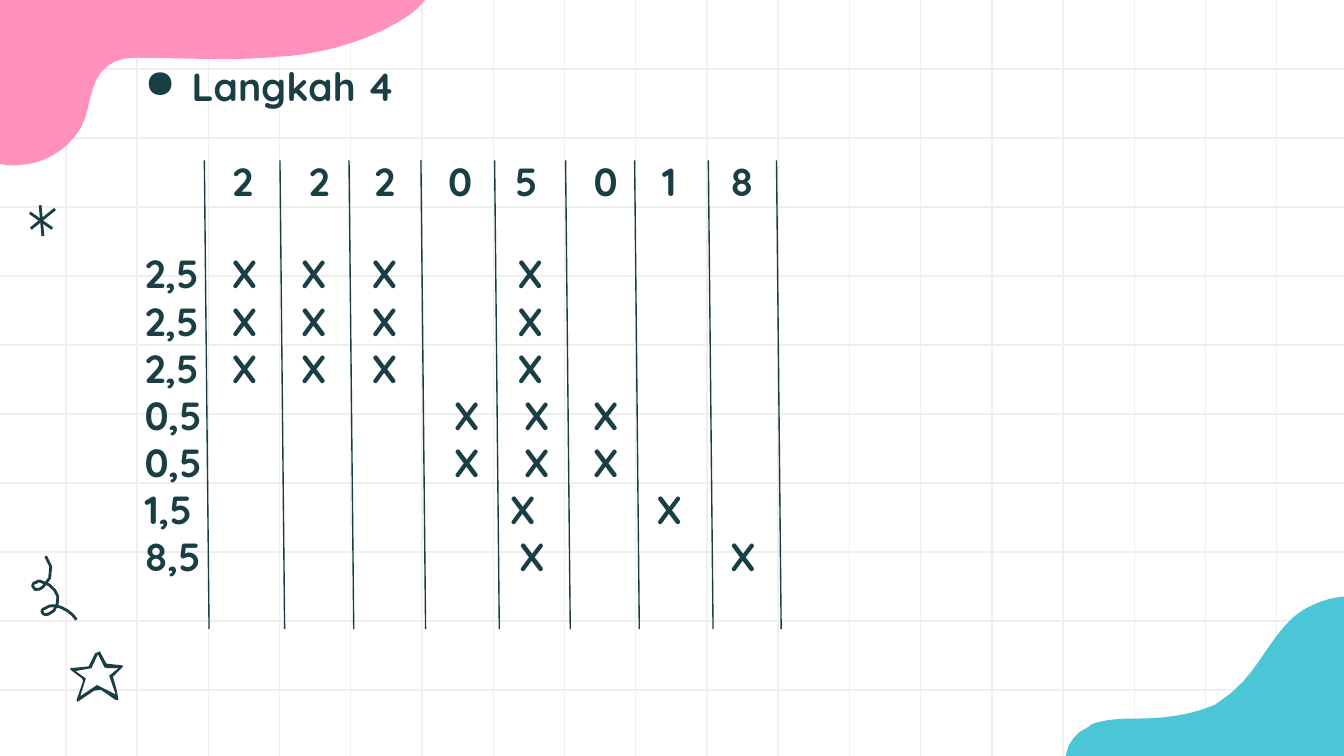
"""Build the "Langkah 4" slide: a hand-ruled table of marks on squared paper."""
from itertools import chain
from math import dist
from typing import NamedTuple

from lxml import etree
from pptx import Presentation
from pptx.dml.color import RGBColor
from pptx.enum import shapes, text
from pptx.oxml import ns
from pptx.util import Pt

WHITE = RGBColor(0xFF, 0xFF, 0xFF)
GRID = RGBColor(0xEF, 0xEF, 0xEF)
INK = RGBColor(0x19, 0x3E, 0x43)
RULE = RGBColor(0x17, 0x3D, 0x43)
PINK = RGBColor(0xFF, 0x91, 0xBC)
TEAL = RGBColor(0x4B, 0xC6, 0xD6)

WIDTH, HEIGHT = 720, 405
TEXT_LEFT = 77.5
LINE_PITCH = 25.25
FONT = {"name": "Quicksand", "size": Pt(21), "bold": True}

Point = tuple[float, float]


class Curve(NamedTuple):
    start: Point
    segments: list[tuple[float, ...]]


class Row(NamedTuple):
    label: str
    marks: str
    centres: list[float]
    gap: float = 0


PINK_BLOB = Curve((-80, 96), [
    (-86, 96.5, -92, 95, -98, 93), (-109, 88, -117, 76, -114.5, 64),
    (-113, 57, -108, 50, -111, 42.5), (-114, 37, -122, 34.5, -128, 35),
    (-133, 35, -137, 36, -141, 37), (-145, 37, -149, 37, -152, 34.5),
    (-162, 29.5, -163, 15, -156, 6), (-150, -3.5, -140, -8, -129, -11.5),
    (-48, -42, 38, -50, 124.5, -54.5), (141, -55.5, 158, -56, 173.5, -57),
    (186, -57.5, 197, -57.5, 209, -54.5), (220, -52, 231, -44, 235.5, -33),
    (241, -18.5, 231, 0, 219.5, 8), (200, 21, 178, 27.5, 155.5, 30),
    (150.5, 30, 146, 31, 142, 31), (120, 32.5, 98.5, 31, 71.5, 31),
    (66, 31, 61, 32.5, 57.5, 35.5), (49, 42, 49, 53, 45.5, 63.5),
    (40.5, 78, 25, 88, 10, 88.5), (7, 89, 3.5, 88.5, 0.5, 88),
    (-9.5, 85.5, -18.5, 80, -31, 80), (-42.5, 80.5, -52, 88, -62.5, 92),
    (-67.5, 94.5, -74, 96, -80, 96),
])
TEAL_BLOB = Curve((731.5, 453), [
    (738, 449.5, 744.5, 445, 749.5, 438.5), (756.5, 429, 759, 417, 759, 405.5),
    (758, 395.5, 753, 386, 753, 376.5), (753, 370, 757.5, 366, 759, 359.5),
    (761, 345.5, 754.5, 331, 743, 324.5), (731, 317.5, 715.5, 318, 702.5, 324.5),
    (699, 326, 695.5, 328.5, 692.5, 331), (680.5, 342, 674, 358.5, 661.5, 369.5),
    (659, 372, 654.5, 375, 651, 377.5), (638.5, 383, 623.5, 385, 610, 385),
    (602.5, 385, 595.5, 385, 588, 387), (586, 387.5, 584.5, 388, 583, 389.5),
    (578, 391.5, 574.5, 395.5, 572.5, 399.5), (570, 405.5, 571, 412, 569, 417.5),
    (566.5, 420.5, 564.5, 422.5, 561.5, 425), (556.5, 427, 550, 427.5, 545, 427),
    (535.5, 425.5, 527, 422, 517.5, 422.5), (513.5, 422.5, 509, 424, 504.5, 425.5),
    (495.5, 430.5, 487.5, 440, 486, 450.5), (484, 466, 492.5, 481.5, 507, 488),
    (517.5, 493, 530.5, 492.5, 543, 491), (602, 486, 661, 479, 716.5, 458.5),
    (721.5, 457, 726.5, 455, 731.5, 453),
])
SQUIGGLE = Curve((24.5, 298), [
    (29, 302.5, 28, 311, 23, 314.5), (21.5, 316, 18, 317, 17.5, 314),
    (17.5, 313, 18, 312, 19.5, 312), (20, 311, 21.5, 311, 23, 312),
    (26.5, 312.5, 30, 316, 31, 319.5), (31.5, 323, 29.5, 328.5, 26, 329),
    (24.5, 330, 22.5, 329, 22.5, 327.5), (22.5, 327, 23, 326, 24, 326),
    (26, 324, 30, 324, 33, 325.5), (36.5, 327, 39, 329, 41, 332),
])
STAR = [
    [(66, 357), (60.5, 362.5), (62.5, 369.5), (63.5, 375), (62, 375), (54, 369.5),
     (50.5, 370), (41.5, 376), (41, 375), (44.5, 365), (44, 363.5), (38, 359),
     (37.5, 358), (47.5, 357), (51, 350), (53.5, 349), (57, 355.5), (65.5, 356.5)],
    [(40.5, 359.5), (46, 363.5), (43, 373), (52, 367), (54, 368), (62, 372),
     (58.5, 362), (63.5, 358), (57.5, 358), (56, 357.5), (52.5, 350.5), (49, 358),
     (46, 358.5)],
]
ASTERISK = [((16, 114), (28, 122.5)), ((16.5, 122.5), (29.5, 112)), ((21.5, 110), (23, 126.5))]
COLUMN_RULES = [109.5, 150, 187, 225.5, 265, 303, 340, 379.5, 416]

ROWS = [
    Row("", "22205018", [130, 171, 206, 246.5, 282, 324.5, 358.5, 397.5]),
    *[Row("2,5", "XXXX", [131, 168, 206, 284], gap) for gap in (24.5, 0, 0)],
    *[Row("0,5", "XXX", [250, 287.5, 324.5])] * 2,
    Row("1,5", "XX", [280, 358.5]),
    Row("8,5", "XX", [285, 398]),
]


def trace(curve: Curve) -> list[Point]:
    """Sample a chain of cubic segments, more finely where they are long."""
    points = [curve.start]
    for x1, y1, x2, y2, x3, y3 in curve.segments:
        x0, y0 = points[-1]
        steps = max(3, min(8, round(dist((x0, y0), (x3, y3)) / 5)))
        for t in (i / steps for i in range(1, steps + 1)):
            a, b, c, d = (1 - t) ** 3, 3 * t * (1 - t) ** 2, 3 * t * t * (1 - t), t ** 3
            points.append((a * x0 + b * x1 + c * x2 + d * x3, a * y0 + b * y1 + c * y2 + d * y3))
    return points


def add_outline(s, contours: list[list[Point]], color: RGBColor, filled: bool = True) -> None:
    """Draw contours as one filled shape or one stroke."""
    rings = [[(Pt(x), Pt(y)) for x, y in contour] for contour in contours]
    builder = s.shapes.build_freeform(*rings[0][0])
    builder.add_line_segments(rings[0][1:], close=filled)
    for ring in rings[1:]:
        builder.move_to(*ring[0])
        builder.add_line_segments(ring[1:], close=filled)
    sp = builder.convert_to_shape()
    sp.shadow.inherit = False
    if filled:
        sp.fill.solid()
        sp.fill.fore_color.rgb = color
        sp.line.fill.background()
    else:
        sp.fill.background()
        sp.line.color.rgb = color
        sp.line.width = Pt(1.5)


def add_line(s, start: Point, end: Point, color: RGBColor, width: float = 0.75) -> None:
    """Draw a straight line without a shadow."""
    line = s.shapes.add_connector(
        shapes.MSO_CONNECTOR.STRAIGHT, *(Pt(v) for v in chain(start, end)))
    line.line.color.rgb = color
    line.line.width = Pt(width)
    etree.SubElement(line.element.spPr, ns.qn("a:effectLst"))


def set_frame(tf) -> None:
    """Give a text frame the shared settings."""
    frame = {"margin_left": 0, "margin_right": 0, "margin_top": 0, "margin_bottom": 0,
             "word_wrap": True, "auto_size": text.MSO_AUTO_SIZE.NONE,
             "vertical_anchor": text.MSO_ANCHOR.TOP}
    for name, value in frame.items():
        setattr(tf, name, value)


def write(p, content: str, gap: float = 0) -> None:
    """Fill a paragraph with one formatted run."""
    spacing = {"line_spacing": Pt(LINE_PITCH), "space_before": Pt(gap), "space_after": Pt(0),
               "alignment": text.PP_ALIGN.LEFT}
    for name, value in spacing.items():
        setattr(p, name, value)
    r = p.add_run()
    r.text = content
    for name, value in FONT.items():
        setattr(r.font, name, value)
    r.font.color.rgb = INK


def add_heading(sp, content: str) -> None:
    """Place the title and write it with a bullet."""
    box = {"left": TEXT_LEFT, "top": 33.5, "width": 580, "height": 26}
    for name, value in box.items():
        setattr(sp, name, Pt(value))
    set_frame(sp.text_frame)
    p = sp.text_frame.paragraphs[0]
    pPr = p._p.get_or_add_pPr()
    pPr.set("marL", str(Pt(25.2)))
    pPr.set("indent", str(Pt(-25.2)))
    etree.SubElement(pPr, ns.qn("a:buChar"), char="●")
    write(p, content)


def add_row(p, row: Row) -> None:
    """Write a label and its marks at centred tab stops."""
    tabs = etree.SubElement(p._p.get_or_add_pPr(), ns.qn("a:tabLst"))
    for centre in row.centres:
        etree.SubElement(tabs, ns.qn("a:tab"), pos=str(Pt(centre - TEXT_LEFT)), algn="ctr")
    write(p, "\t".join([row.label, *row.marks]), row.gap)


def main() -> None:
    """Assemble and save the slide."""
    prs = Presentation()
    prs.slide_width, prs.slide_height = Pt(WIDTH), Pt(HEIGHT)
    s = prs.slides.add_slide(prs.slide_layouts[5])
    s.background.fill.solid()
    s.background.fill.fore_color.rgb = WHITE

    for i in range(18):
        x = 35.28 + 38.16 * i
        add_line(s, (x, 0), (x, HEIGHT), GRID)
    for i in range(1, 11):
        add_line(s, (0, 36.97 * i), (WIDTH, 36.97 * i), GRID)
    add_outline(s, [trace(PINK_BLOB)], PINK)
    add_outline(s, [trace(TEAL_BLOB)], TEAL)
    for start, end in ASTERISK:
        add_line(s, start, end, INK, 1.5)
    add_outline(s, [trace(SQUIGGLE)], INK, filled=False)
    add_outline(s, STAR, INK)

    title = s.shapes.title
    title.element.getparent().append(title.element)
    add_heading(title, "Langkah 4")

    tf = s.shapes.add_textbox(Pt(TEXT_LEFT), Pt(84), Pt(580), Pt(310)).text_frame
    set_frame(tf)
    for i, row in enumerate(ROWS):
        add_row(tf.add_paragraph() if i else tf.paragraphs[0], row)

    for x in COLUMN_RULES:
        add_line(s, (x, 86), (x + 2.5, 337), RULE)
    prs.save("out.pptx")


if __name__ == "__main__":
    main()
